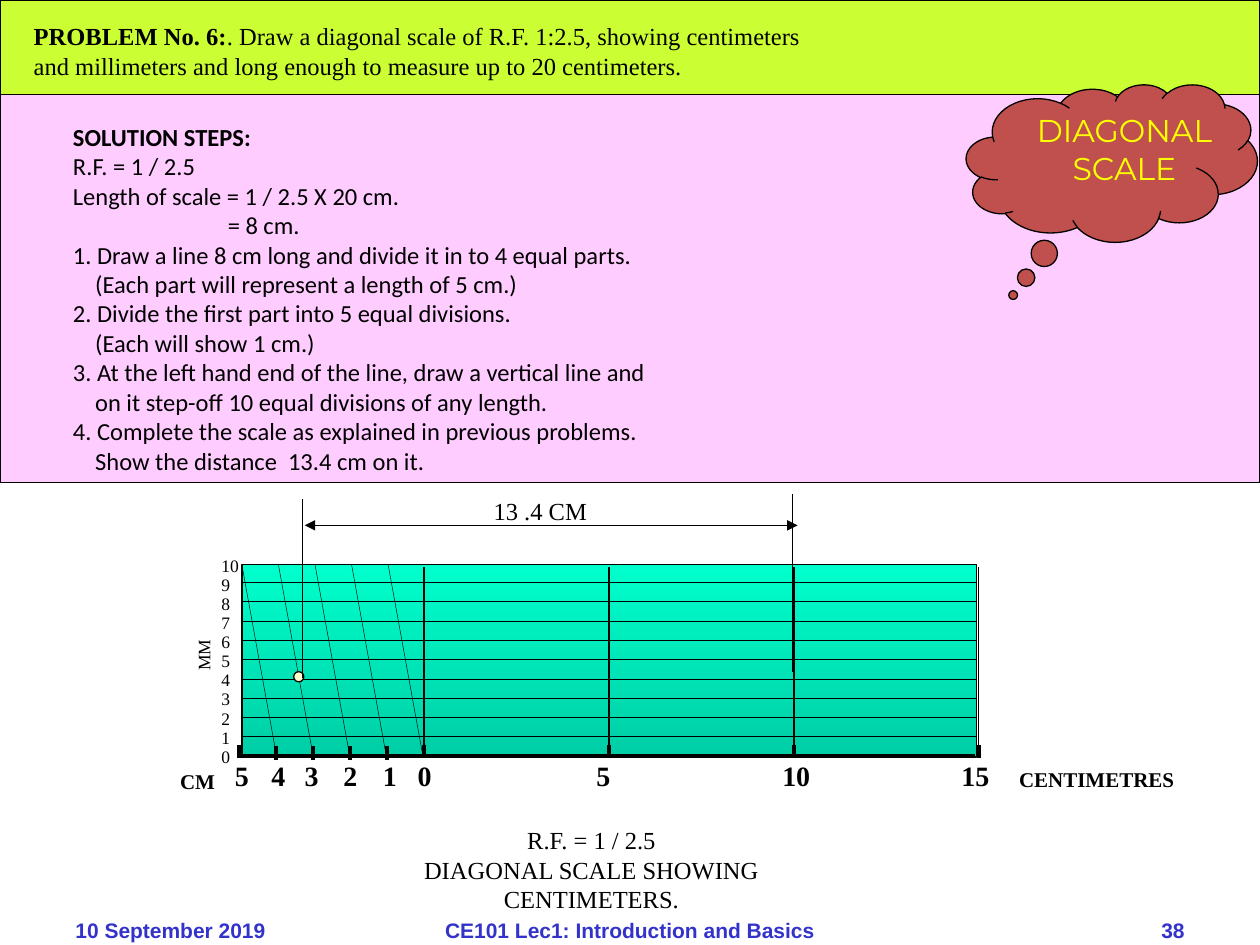
from lxml.etree import SubElement
from pptx import Presentation
from pptx.dml.color import RGBColor
from pptx.enum.shapes import MSO_CONNECTOR, MSO_SHAPE
from pptx.enum.text import MSO_ANCHOR, PP_ALIGN
from pptx.oxml.ns import qn
from pptx.util import Pt

COLORS = {
    "black": "000000", "lime": "CCFF33", "pink": "FFCCFF", "cream": "FFFFCC",
    "red": "C0504D", "yellow": "FFFF00", "blue": "3333CC",
    "aqua": "00FFCC", "teal": "00CEA5",
}
SERIF = "Times New Roman"
SCALE_LEFT, SCALE_TOP, SCALE_WIDTH, SCALE_HEIGHT = 138.2, 322.6, 419.8, 110.2
BASELINE = 432
TICK_LEFT = 136.8
MAJOR_STEP = 105.6
MINOR_STEP = MAJOR_STEP / 5

# (text, left indent) for each solution line
SOLUTION = [
    ("SOLUTION STEPS:", 0),
    ("R.F. = 1 / 2.5", 0),
    ("Length of scale = 1 / 2.5 X 20 cm.", 0),
    ("= 8 cm.", 88.5),
    ("1. Draw a line 8 cm long and divide it in to 4 equal parts.", 0),
    ("(Each part will represent a length of 5 cm.)", 12.7),
    ("2. Divide the first part into 5 equal divisions.", 0),
    ("(Each will show 1 cm.)", 12.7),
    ("3. At the left hand end of the line, draw a vertical line and", 0),
    ("on it step-off 10 equal divisions of any length.", 12.7),
    ("4. Complete the scale as explained in previous problems.", 0),
    ("Show the distance  13.4 cm on it.", 12.7),
]
# (text, centre) for each number under the scale
SCALE_NUMBERS = [
    ("5", 138.2), ("4", 159.1), ("3", 178), ("2", 200.2), ("1", 222.8),
    ("0", 242.6), ("5", 344.7), ("10", 455), ("15", 557.3),
]


def color(name):
    return RGBColor.from_string(COLORS[name])


def add_box(slide, kind, left, top, width, height, fill=None, line_width=0.75):
    shape = slide.shapes.add_shape(kind, Pt(left), Pt(top), Pt(width), Pt(height))
    shape.shadow.inherit = False
    if fill:
        shape.fill.solid()
        shape.fill.fore_color.rgb = color(fill)
    shape.line.color.rgb = color("black")
    shape.line.width = Pt(line_width)
    return shape


def add_line(slide, x1, y1, x2, y2, width):
    line = slide.shapes.add_connector(
        MSO_CONNECTOR.STRAIGHT, Pt(x1), Pt(y1), Pt(x2), Pt(y2))
    line.line.color.rgb = color("black")
    line.line.width = Pt(width)
    SubElement(line._element.spPr, qn("a:effectLst"))
    return line


def add_text(slide, lines, left, top, width, height, size, font=SERIF, bold=False,
             align=PP_ALIGN.LEFT, fill="black", wrap=False, anchor=MSO_ANCHOR.TOP):
    box = slide.shapes.add_textbox(Pt(left), Pt(top), Pt(width), Pt(height))
    frame = box.text_frame
    frame.text = "\n".join(lines)
    frame.word_wrap = wrap
    frame.vertical_anchor = anchor
    for paragraph in frame.paragraphs:
        paragraph.alignment = align
        for run in paragraph.runs:
            run.font.name = font
            run.font.size = Pt(size)
            run.font.bold = bold
            run.font.color.rgb = color(fill)
    return box


def add_scale(slide):
    body = add_box(slide, MSO_SHAPE.RECTANGLE, SCALE_LEFT, SCALE_TOP,
                   SCALE_WIDTH, SCALE_HEIGHT, line_width=1)
    body.fill.gradient()
    body.fill.gradient_angle = 270
    for stop, name in zip(body.fill.gradient_stops, ("aqua", "teal")):
        stop.color.rgb = color(name)

    add_line(slide, 136.1, BASELINE, 557.3, BASELINE, 2.25)
    for index in range(1, 5):
        x = TICK_LEFT + index * MINOR_STEP
        add_line(slide, x, 426.2, x, 434.2, 2.25)
    for index in range(5):
        x = TICK_LEFT + index * MAJOR_STEP
        add_line(slide, x, 425.5, x, 433.4, 2.25)
        if index:
            add_line(slide, x, 324, x, 433.4, 1)
    for index in range(1, 10):
        y = BASELINE - index * SCALE_HEIGHT / 10
        add_line(slide, SCALE_LEFT, y, 558, y, 0.25)
    for index in range(5):
        x = SCALE_LEFT + index * 20.9
        add_line(slide, x, SCALE_TOP, x + 19.6, 430.6, 0.25)


def add_scale_labels(slide):
    millimetres = add_text(slide, [str(n) for n in range(10, -1, -1)],
                           119.5, 314.6, 24.5, 125.3, 10)
    for paragraph in millimetres.text_frame.paragraphs:
        paragraph.line_spacing = Pt(10.9)
    for text, center in SCALE_NUMBERS:
        add_text(slide, [text], center - 17, 429.8, 34, 26.6, 16, bold=True,
                 align=PP_ALIGN.CENTER)
    add_text(slide, ["CENTIMETRES"], 575.3, 434.2, 103, 21.6, 12, bold=True)
    add_text(slide, ["CM"], 95.8, 435.6, 34.6, 21.6, 12, bold=True)
    unit = add_text(slide, ["MM"], 100.1, 364.3, 32.4, 19.4, 10)
    unit.rotation = 270
    add_text(slide, ["R.F. = 1 / 2.5", "DIAGONAL SCALE SHOWING CENTIMETERS."],
             198, 468, 280, 41, 14, align=PP_ALIGN.CENTER, wrap=True)


def add_problem(slide):
    add_box(slide, MSO_SHAPE.RECTANGLE, 0, 0, 720, 54, "lime")
    box = add_text(slide, ["PROBLEM No. 6:",
                           "and millimeters and long enough to measure up to 20 centimeters."],
                   12.2, 8.6, 460, 41, 14)
    heading = box.text_frame.paragraphs[0]
    heading.runs[0].font.bold = True
    statement = heading.add_run()
    statement.text = ". Draw a diagonal scale of R.F. 1:2.5, showing centimeters"
    statement.font.name = SERIF
    statement.font.size = Pt(14)
    statement.font.color.rgb = color("black")


def add_solution(slide):
    add_box(slide, MSO_SHAPE.RECTANGLE, 0, 54, 720, 221.8, "pink")
    box = add_text(slide, [text for text, _ in SOLUTION],
                   34.6, 66.2, 345.6, 211, 14, font="Calibri")
    paragraphs = box.text_frame.paragraphs
    paragraphs[0].runs[0].font.bold = True
    for paragraph, (_, indent) in zip(paragraphs, SOLUTION):
        paragraph._p.get_or_add_pPr().set("marL", str(Pt(indent)))


def add_dimension(slide):
    """Mark the distance of 13.4 cm above the scale."""
    add_box(slide, MSO_SHAPE.OVAL, 167.8, 383.8, 5.8, 5.8, "cream")
    add_line(slide, 172.8, 387.4, 172.8, 285.1, 0.75)
    add_line(slide, 452.9, 383.8, 452.9, 282.2, 0.75)
    arrow = add_line(slide, 174.2, 300.2, 455.8, 300.2, 0.75)
    outline = arrow.line._get_or_add_ln()
    for end in ("a:headEnd", "a:tailEnd"):
        SubElement(outline, qn(end)).set("type", "triangle")
    add_text(slide, ["13 .4 CM"], 275, 280.1, 67.7, 23.8, 14)


def add_cloud(slide):
    cloud = add_box(slide, MSO_SHAPE.CLOUD_CALLOUT, 552.2, 48.2, 166.3, 90, "red")
    cloud.adjustments[0] = -0.339
    cloud.adjustments[1] = 0.838
    add_text(slide, ["DIAGONAL", "SCALE"], 582.5, 59.8, 120.2, 50.4, 18,
             font="Montserrat", align=PP_ALIGN.CENTER, fill="yellow", wrap=True)


def add_footer(slide):
    parts = [
        ("10 September 2019", 36, 168, PP_ALIGN.LEFT),
        ("CE101 Lec1: Introduction and Basics", 222, 276, PP_ALIGN.CENTER),
        ("38", 516, 168, PP_ALIGN.RIGHT),
    ]
    for text, left, width, align in parts:
        add_text(slide, [text], left, 517, width, 28.8, 12, font="Arial", bold=True,
                 align=align, fill="blue", wrap=True, anchor=MSO_ANCHOR.MIDDLE)


def main():
    presentation = Presentation()
    presentation.slide_width = Pt(720)
    presentation.slide_height = Pt(540)
    slide = presentation.slides.add_slide(presentation.slide_layouts[6])
    add_scale(slide)
    add_scale_labels(slide)
    add_problem(slide)
    add_solution(slide)
    add_dimension(slide)
    add_cloud(slide)
    add_footer(slide)
    presentation.save("out.pptx")


if __name__ == "__main__":
    main()
